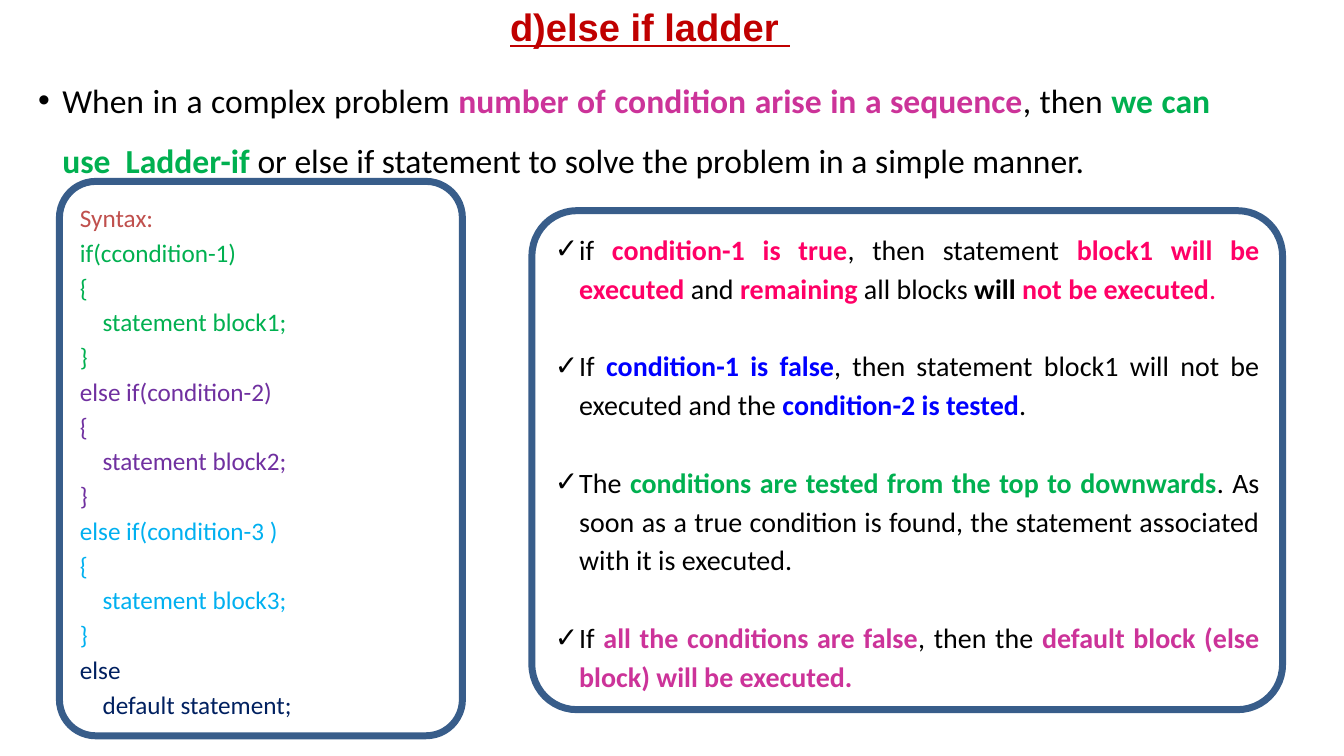
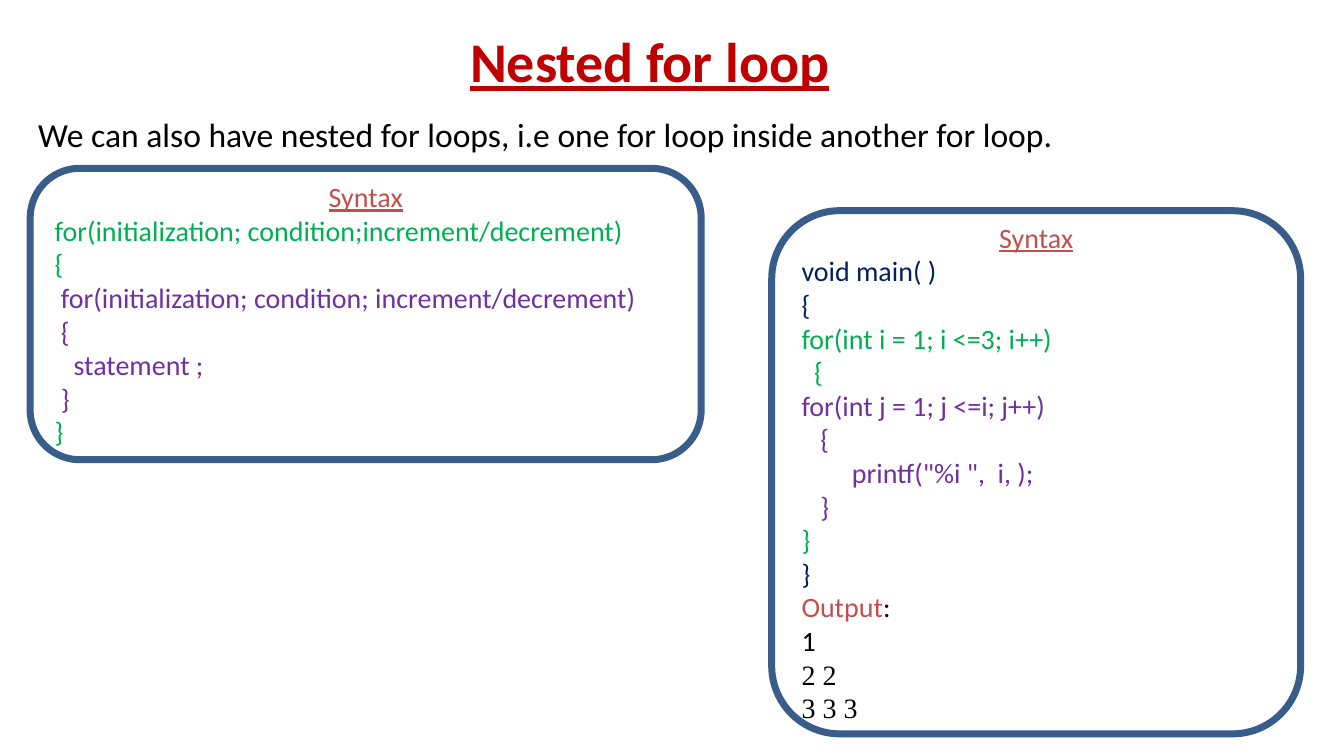
from dataclasses import dataclass
from typing import Optional

from lxml.etree import SubElement
from pptx import Presentation
from pptx.dml.color import RGBColor
from pptx.enum.shapes import MSO_SHAPE
from pptx.enum.text import MSO_ANCHOR, PP_ALIGN
from pptx.oxml.ns import qn
from pptx.slide import Slide
from pptx.text.text import TextFrame
from pptx.util import Pt

# Shared look
EMU_PER_PX = 9144  # 100 px to the inch
BLACK, NAVY, BORDER = "000000", "002060", "385D8A"
TITLE_RED, HEADING_RED, PINK = "C00000", "C0504D", "FF0066"
MAGENTA, GREEN, PURPLE = "CC3399", "00B050", "7030A0"
SKY, BLUE = "00B0F0", "0000FF"
BODY_FONT, TITLE_FONT, OUTPUT_FONT = "Calibri", "Arial", "Times New Roman"
BORDER_WIDTH = 5
HANGING = 24
LEFT, CENTER, JUSTIFY = PP_ALIGN.LEFT, PP_ALIGN.CENTER, PP_ALIGN.JUSTIFY


@dataclass(frozen=True)
class Span:
    text: str
    color: str = BLACK
    bold: bool = False
    underline: bool = False
    font: str = BODY_FONT


@dataclass(frozen=True)
class Line:
    spans: tuple[Span, ...]
    align: PP_ALIGN = LEFT
    bullet: str = ""
    before: int = 0


@dataclass(frozen=True)
class Block:
    left: int
    top: int
    width: int
    height: int
    lines: list[Line]
    size: float
    spacing: float = 1.0
    anchor: MSO_ANCHOR = MSO_ANCHOR.MIDDLE
    corner: Optional[float] = None  # set for a bordered panel


def px(length: int) -> int:
    return length * EMU_PER_PX


def rgb(color: str) -> RGBColor:
    return RGBColor.from_string(color)


def code(color: str, text: str, font: str = BODY_FONT) -> list[Line]:
    """One line of code for each line of text, all in one colour."""
    return [Line((Span(row, color, font=font),)) for row in text.split("\n")]


def title(top: int, height: int, text: str, size: float, font: str, spacing: float) -> Block:
    heading = Span(text, TITLE_RED, True, True, font)
    return Block(45, top, 1200, height, [Line((heading,), CENTER)], size, spacing)


def intro(top: int, width: int, height: int, line: Line) -> Block:
    return Block(28, top, width, height, [line], 24, 1.5, MSO_ANCHOR.TOP)


def fill_text(frame: TextFrame, block: Block) -> None:
    frame.word_wrap = True
    frame.vertical_anchor = block.anchor
    for index, line in enumerate(block.lines):
        paragraph = frame.add_paragraph() if index else frame.paragraphs[0]
        paragraph.alignment = line.align
        paragraph.line_spacing = block.spacing
        if line.before:
            paragraph.space_before = Pt(line.before)
        if line.bullet:
            properties = paragraph._p.get_or_add_pPr()
            properties.set("marL", str(px(HANGING)))
            properties.set("indent", str(-px(HANGING)))
            SubElement(properties, qn("a:buFont"), typeface="Arial")
            SubElement(properties, qn("a:buChar"), char=line.bullet)
        for span in line.spans:
            run = paragraph.add_run()
            run.text = span.text
            run.font.name = span.font
            run.font.size = Pt(block.size)
            run.font.bold = span.bold
            run.font.underline = span.underline
            run.font.color.rgb = rgb(span.color)


def draw(slide: Slide, block: Block) -> None:
    area = [px(n) for n in (block.left, block.top, block.width, block.height)]
    if block.corner is None:
        holder = slide.shapes.add_textbox(*area)
    else:
        holder = slide.shapes.add_shape(MSO_SHAPE.ROUNDED_RECTANGLE, *area)
        holder.adjustments[0] = block.corner
        holder.shadow.inherit = False
        holder.fill.background()
        holder.line.color.rgb = rgb(BORDER)
        holder.line.width = Pt(BORDER_WIDTH)
    fill_text(holder.text_frame, block)


def rule(*spans: Span, before: int = 28) -> Line:
    return Line(spans, JUSTIFY, "✓", before)


# Slide 1: else if ladder
ladder_intro = Line((
    Span("When in a complex problem "),
    Span("number of condition arise in a sequence", MAGENTA, True),
    Span(", then "),
    Span("we can use  Ladder-if", GREEN, True),
    Span(" or else if statement to solve the problem in a simple manner."),
), JUSTIFY, "•")

ladder_syntax = [
    *code(HEADING_RED, "Syntax:"),
    *code(GREEN, "if(ccondition-1)\n{\n    statement block1;\n}"),
    *code(PURPLE, "else if(condition-2)\n{\n    statement block2;\n}"),
    *code(SKY, "else if(condition-3 )\n{\n    statement block3;\n}"),
    *code(NAVY, "else\n    default statement;"),
]

ladder_rules = [
    rule(
        Span("if "),
        Span("condition-1 is true", PINK, True),
        Span(", then statement "),
        Span("block1 will be executed ", PINK, True),
        Span("and "),
        Span("remaining", PINK, True),
        Span(" all blocks "),
        Span("will ", bold=True),
        Span("not be executed", PINK, True),
        Span(".", PINK),
        before=0,
    ),
    rule(
        Span("If "),
        Span("condition-1 is false", BLUE, True),
        Span(", then statement block1 will not be executed and the "),
        Span("condition-2 is tested", BLUE, True),
        Span("."),
    ),
    rule(
        Span("The "),
        Span("conditions are tested from the top to downwards", GREEN, True),
        Span(". As soon as a true condition is found, the statement "
             "associated with it is executed."),
    ),
    rule(
        Span("If "),
        Span("all the conditions are false", MAGENTA, True),
        Span(", then the "),
        Span("default block (else block) will be executed.", MAGENTA, True),
    ),
]

ladder_slide = [
    intro(54, 1183, 132, ladder_intro),
    title(0, 58, "d)else if ladder ", 27.2, TITLE_FONT, 0.9),
    Block(59, 180, 400, 550, ladder_syntax, 18, 1.15, corner=0.09),
    Block(528, 209, 745, 495, ladder_rules, 20, 1.15, corner=0.09),
]

# Slide 2: nested for loop
nested_intro = Line((
    Span("We can also have nested for loops, i.e one for loop inside another for loop."),
), JUSTIFY)

syntax_heading = Line((Span("Syntax", HEADING_RED, underline=True),), CENTER)

nested_syntax = [
    syntax_heading,
    *code(GREEN, "for(initialization; condition;increment/decrement)\n{"),
    *code(PURPLE, " for(initialization; condition; increment/decrement)\n"
                  " {\n   statement ;\n }"),
    *code(GREEN, "}"),
]

nested_example = [
    syntax_heading,
    *code(NAVY, "void main( )\n{"),
    *code(GREEN, "for(int i = 1; i <=3; i++)\n  {"),
    *code(PURPLE, "for(int j = 1; j <=i; j++)\n   {\n\tprintf(\"%i \",  i, );\n   }"),
    *code(GREEN, "}"),
    *code(NAVY, "}"),
    Line((Span("Output", HEADING_RED), Span(":"))),
    *code(BLACK, "1"),
    *code(BLACK, "2 2\n3 3 3", OUTPUT_FONT),
]

nested_slide = [
    intro(88, 1259, 71, nested_intro),
    title(20, 80, "Nested for loop", 40, BODY_FONT, 1.0),
    Block(30, 167, 666, 289, nested_syntax, 20, corner=0.17),
    Block(766, 209, 525, 519, nested_example, 20, corner=0.13),
]


def main() -> None:
    deck = Presentation()
    deck.slide_width, deck.slide_height = px(1334), px(750)
    blank = deck.slide_layouts[6]
    for blocks in (ladder_slide, nested_slide):
        slide = deck.slides.add_slide(blank)
        for block in blocks:
            draw(slide, block)
    deck.save("out.pptx")


if __name__ == "__main__":
    main()
